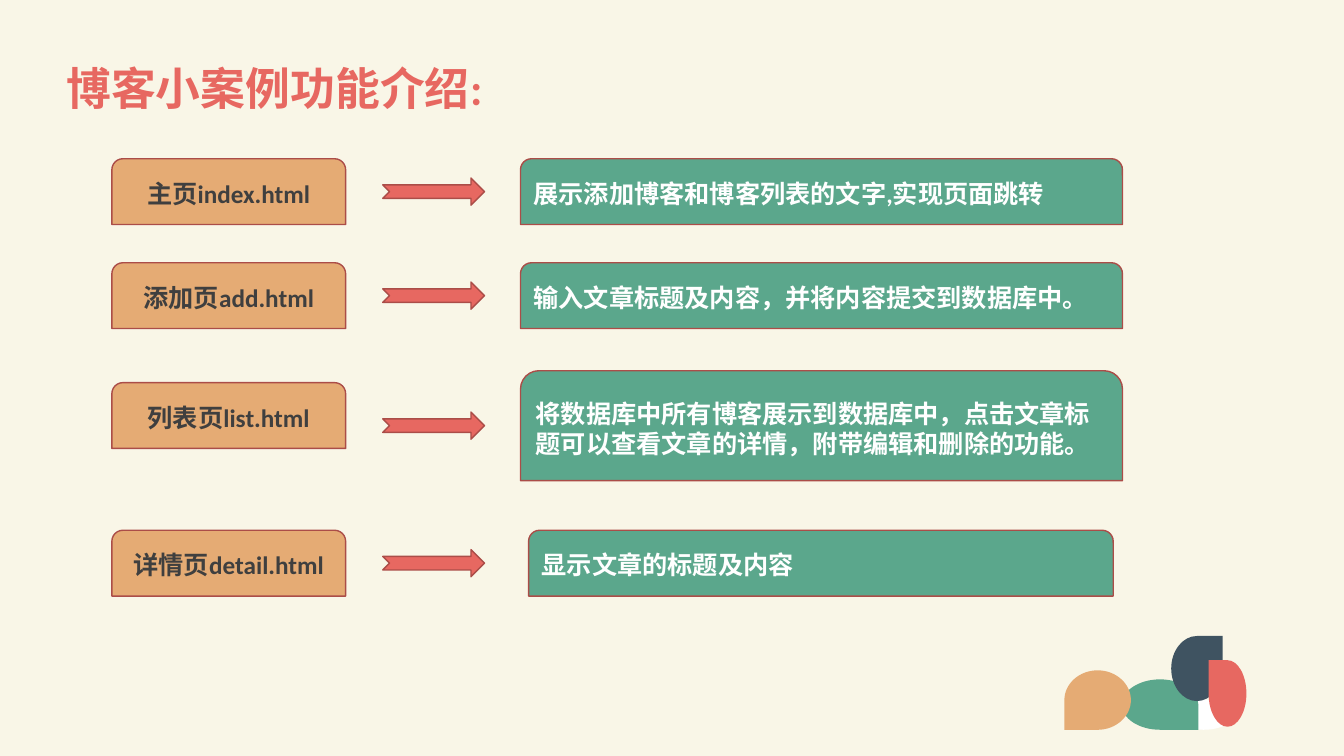
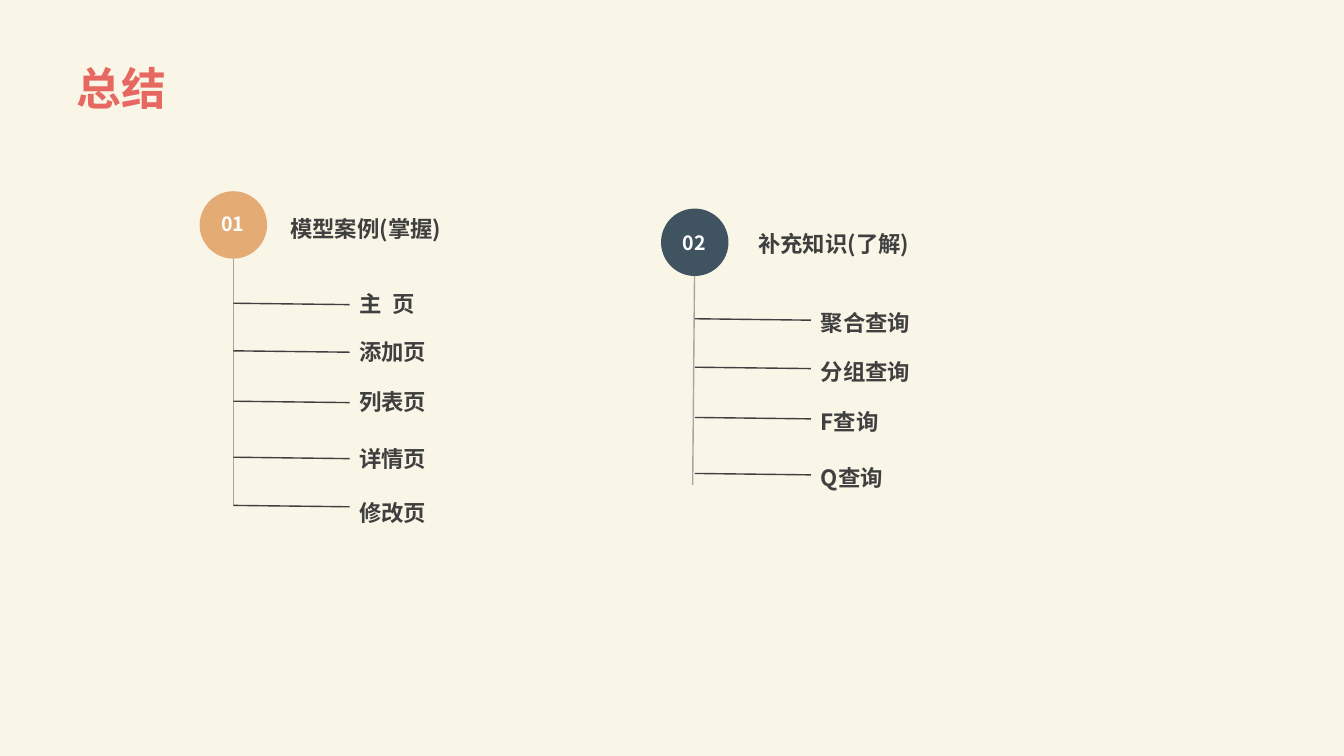
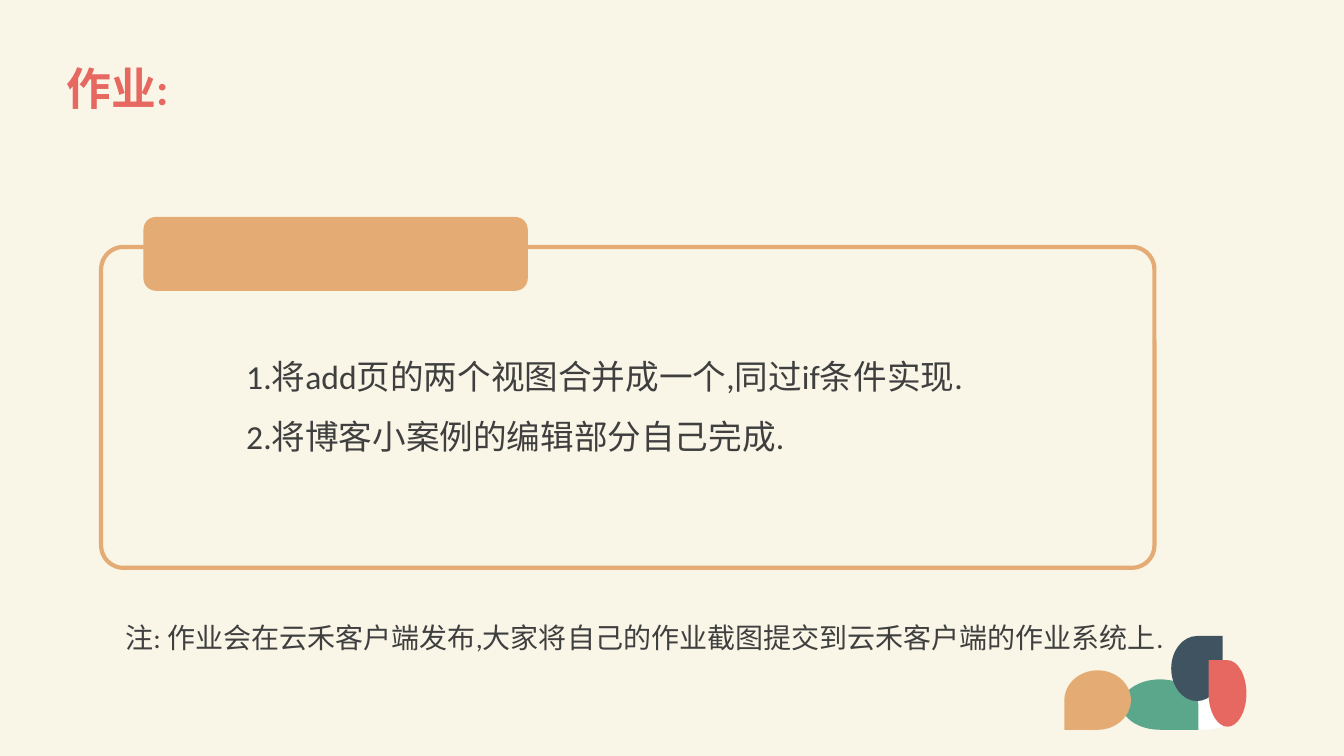
from lxml import etree
from pptx import Presentation
from pptx.dml.color import RGBColor
from pptx.enum.shapes import MSO_CONNECTOR, MSO_SHAPE
from pptx.enum.text import MSO_ANCHOR, PP_ALIGN
from pptx.oxml.ns import qn
from pptx.util import Pt

OVAL, PLATE = MSO_SHAPE.OVAL, MSO_SHAPE.RECTANGLE
ROUNDED = MSO_SHAPE.ROUNDED_RECTANGLE
ROUND_TOP = MSO_SHAPE.ROUND_2_SAME_RECTANGLE
ARROW = MSO_SHAPE.NOTCHED_RIGHT_ARROW
STRAIGHT = MSO_CONNECTOR.STRAIGHT
LEFT, CENTER = PP_ALIGN.LEFT, PP_ALIGN.CENTER
TOP, MIDDLE = MSO_ANCHOR.TOP, MSO_ANCHOR.MIDDLE

COLORS = {
    "cream": "F9F6E7", "coral": "E76861", "brick": "AB4D48", "sand": "E5AB74",
    "green": "5BA78C", "navy": "3F5361", "ink": "3F3F3F", "gray": "A6A6A6",
    "white": "FFFFFF",
}
LATIN, CJK = "Calibri", "Noto Sans CJK SC"
ARC = 0.55


def rgb(name):
    """Look up a palette colour."""
    return RGBColor.from_string(COLORS[name])


def write(shape, text, size=18, color="ink", bold=True, font=LATIN, align=LEFT,
          anchor=TOP, spacing=None, inset=None):
    """Fill a shape with text, one paragraph per line."""
    frame = shape.text_frame
    frame.word_wrap = True
    frame.vertical_anchor = anchor
    if inset is not None:
        frame.margin_left = frame.margin_right = Pt(inset)
        frame.margin_top = frame.margin_bottom = Pt(inset)
    frame.text = text
    for paragraph in frame.paragraphs:
        paragraph.alignment = align
        if spacing:
            paragraph.line_spacing = spacing
        for run in paragraph.runs:
            run.font.size = Pt(size)
            run.font.bold = bold
            run.font.color.rgb = rgb(color)
            run.font.name = font
            east_asian = etree.SubElement(run.font._element, qn("a:ea"))
            east_asian.set("typeface", CJK)


def add_label(slide, box, text, **style):
    """Place text without a visible frame."""
    write(slide.shapes.add_textbox(*map(Pt, box)), text, **style)


def paint(shape, fill=None, line=None, width=1):
    """Set fill and outline, and drop the shadow."""
    shape.shadow.inherit = False
    if fill:
        shape.fill.solid()
        shape.fill.fore_color.rgb = rgb(fill)
    else:
        shape.fill.background()
    if line:
        shape.line.color.rgb = rgb(line)
        shape.line.width = Pt(width)
    else:
        shape.line.fill.background()


def add_block(slide, kind, box, fill=None, line=None, width=1):
    """Place a painted preset shape."""
    block = slide.shapes.add_shape(kind, *map(Pt, box))
    paint(block, fill, line, width)
    return block


def add_line(slide, x1, y1, x2, y2, color):
    """Draw a thin line without a shadow."""
    line = slide.shapes.add_connector(STRAIGHT, Pt(x1), Pt(y1), Pt(x2), Pt(y2))
    line.line.color.rgb = rgb(color)
    line.line.width = Pt(1)
    etree.SubElement(line._element.spPr, qn("a:effectLst"))


def add_petal(slide, box, corner, fill):
    """Draw an ellipse with one square corner, given as (x side, y side)."""
    left, top, width, height = map(Pt, box)
    cx, cy = corner

    def local(x, y):
        return round(width * (1 + x) / 2), round(height * (1 + y) / 2)

    nodes = [(cx, cy), (cx, 0), (0, -cy), (-cx, 0), (0, cy)]
    spots = [(left + x, top + y) for x, y in (local(*node) for node in nodes)]
    outline = slide.shapes.build_freeform(*spots[0], scale=1)
    outline.add_line_segments(spots[1:], close=True)
    petal = outline.convert_to_shape()
    paint(petal, fill)

    sides = list(petal._element.iter(qn("a:lnTo")))[1:]
    bends = [(cx, -cy), (-cx, -cy), (-cx, cy)]
    for side, start, end, bend in zip(sides, nodes[1:], nodes[2:], bends):
        curve = etree.Element(qn("a:cubicBezTo"))
        pulls = [[a + ARC * (b - a) for a, b in zip(node, bend)]
                 for node in (start, end)]
        for node in (*pulls, end):
            x, y = local(*node)
            etree.SubElement(curve, qn("a:pt"), x=str(x), y=str(y))
        side.getparent().replace(side, curve)


def add_petals(slide, left, top):
    """Draw the petal cluster at the bottom right."""
    add_block(slide, OVAL, (left + 77.8, top + 45.4, 43.2, 21.6), "white")
    for x, y, width, height, corner, fill in (
        (41, 31, 54.7, 36, (1, 1), "green"),
        (76.3, 0, 36.7, 46.5, (1, -1), "navy"),
        (103, 17.3, 27, 47.5, (-1, -1), "coral"),
        (0, 24.5, 47.5, 42.5, (-1, 1), "sand"),
    ):
        add_petal(slide, (left + x, top + y, width, height), corner, fill)


def add_page(deck, title, left=40.3, petals=True):
    """Start a slide with its background, title and petals."""
    slide = deck.slides.add_slide(deck.slide_layouts[6])
    slide.background.fill.solid()
    slide.background.fill.fore_color.rgb = rgb("cream")
    add_label(slide, (left, 27, 885, 76), title, size=32, color="coral",
              anchor=MIDDLE, spacing=0.9)
    if petals:
        add_petals(slide, 760.3, 454.3)
    return slide


def add_feature(slide, box, page, purpose, page_shift=0):
    """Link a page name to its purpose; box bounds the purpose."""
    middle = box[1] + box[3] / 2
    name = add_block(slide, ROUND_TOP, (79.9, middle - 23.5 + page_shift, 167, 47),
                     "sand", "brick")
    write(name, page, align=CENTER, anchor=MIDDLE)
    add_block(slide, ARROW, (273.4, middle - 9.7, 72.7, 19.4), "coral", "brick")
    detail = add_block(slide, ROUND_TOP, box, "green", "brick")
    write(detail, purpose, color="white", anchor=MIDDLE)


def add_branch(slide, left, top, number, heading, topics, fill, heading_at,
               plate_at, trunk, lean=0):
    """Draw a numbered topic; topics hold name, twig drop and label drop."""
    style = {"size": 16, "font": CJK}
    diameter = 48.2
    stem = left + diameter / 2
    add_line(slide, stem, top + diameter / 2, stem + lean, top + trunk, "gray")
    add_block(slide, OVAL, (left, top, diameter, diameter), fill)
    plate = add_block(slide, PLATE,
                      (left + plate_at[0], top + plate_at[1], 31.7, 24.5), fill)
    write(plate, number, size=14, color="white", font=CJK, align=CENTER,
          anchor=MIDDLE, inset=0)
    add_label(slide, (left + heading_at[0], top + heading_at[1], 170, 26.6),
              heading, **style)
    for topic, twig, label in topics:
        add_line(slide, stem, top + twig, stem + 83, top + twig + 1, "ink")
        add_label(slide, (left + 107, top + label, 170, 26.6), topic, **style)


def add_assignment(slide, box, tasks):
    """Frame the tasks in a panel with a tab on its upper edge."""
    left, top, width, height = box
    panel = add_block(slide, ROUNDED, box, line="sand", width=3)
    panel.adjustments[0] = 0.07
    add_block(slide, ROUNDED, (left + 30.3, top - 21.4, 274.5, 52.7), "sand")
    add_label(slide, (left + 96.6, top + 59.8, 530, 94.5), "\n".join(tasks),
              size=24, bold=False, spacing=1.5)


def build_features(deck):
    """Introduce the pages of the blog example."""
    slide = add_page(deck, "博客小案例功能介绍:")
    wide, narrow = (371.8, 430), (377.6, 417.6)
    for (left, width), top, height, page, purpose, shift in (
        (wide, 113.4, 47, "主页index.html",
         "展示添加博客和博客列表的文字,实现页面跳转", 0),
        (wide, 187.7, 47, "添加页add.html",
         "输入文章标题及内容，并将内容提交到数据库中。", 0),
        (wide, 264.8, 78.5, "列表页list.html",
         "将数据库中所有博客展示到数据库中，点击文章标题可以查看文章的详情，"
         "附带编辑和删除的功能。", -7.2),
        (narrow, 378.8, 47, "详情页detail.html", "显示文章的标题及内容", 0),
    ):
        add_feature(slide, (left, top, width, height), page, purpose, shift)


def build_summary(deck):
    """Sum up the two topics."""
    slide = add_page(deck, "总结", left=47.5, petals=False)
    add_branch(slide, 142.6, 136.6, "01", "模型案例(掌握)",
               (("主\u2002页", 80, 66.9), ("添加页", 114, 101.3),
                ("列表页", 150, 137.3), ("详情页", 190, 178),
                ("修改页", 224.4, 216.7)),
               "sand", heading_at=(57.6, 13.2), plate_at=(7.9, 10.8), trunk=224)
    add_branch(slide, 472.2, 149, "02", "补充知识(了解)",
               (("聚合查询", 78.7, 68.2), ("分组查询", 113.3, 103.4),
                ("F查询", 149.2, 138.7), ("Q查询", 189.2, 178.7)),
               "navy", heading_at=(62.3, 11.9), plate_at=(8, 12.2), trunk=197.4,
               lean=-1.5)


def build_homework(deck):
    """Set the homework and explain how to hand it in."""
    slide = add_page(deck, "作业:")
    add_assignment(slide, (72.2, 176.4, 752.4, 229.2),
                   ("1.将add页的两个视图合并成一个,同过if条件实现.",
                    "2.将博客小案例的编辑部分自己完成."))
    add_label(slide, (82.5, 440, 754, 31.7),
              "注: 作业会在云禾客户端发布,大家将自己的作业截图提交到云禾客户端的作业系统上.",
              size=20, bold=False)


deck = Presentation()
deck.slide_width, deck.slide_height = Pt(960), Pt(540)
build_features(deck)
build_summary(deck)
build_homework(deck)
deck.save("out.pptx")
